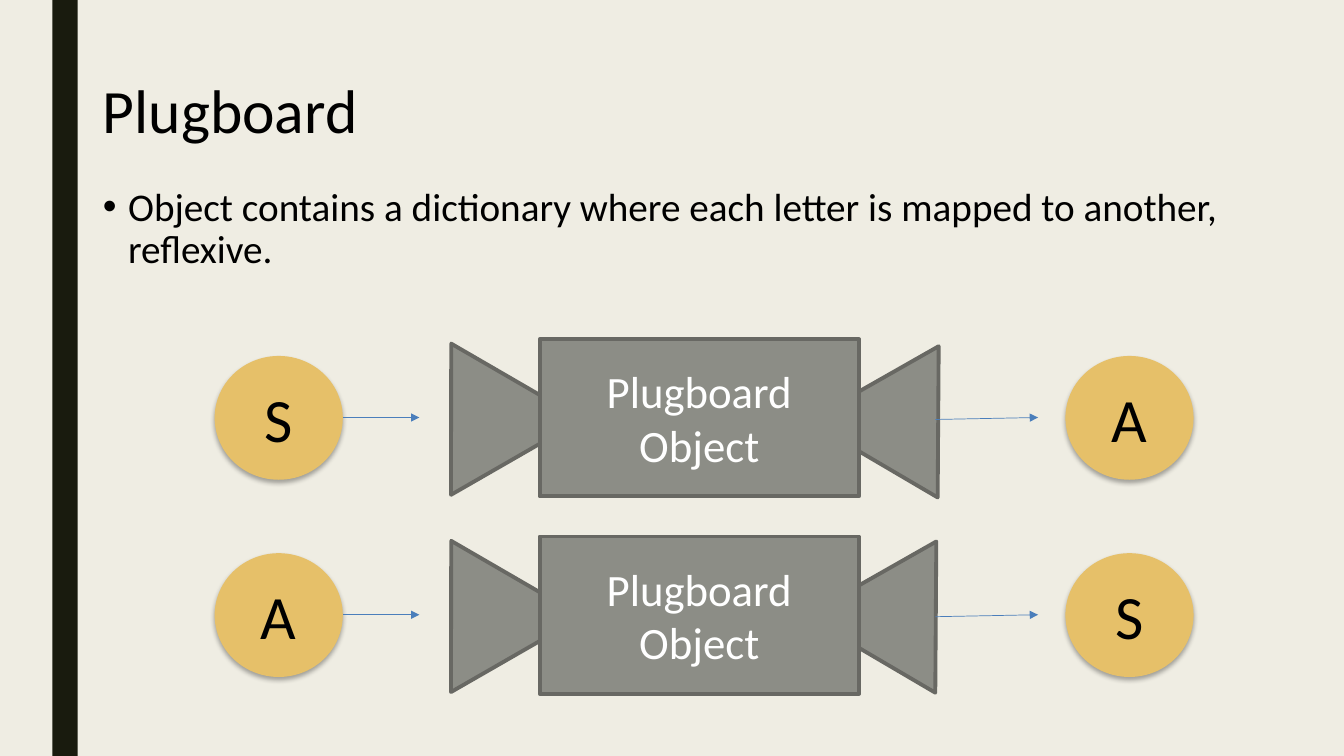
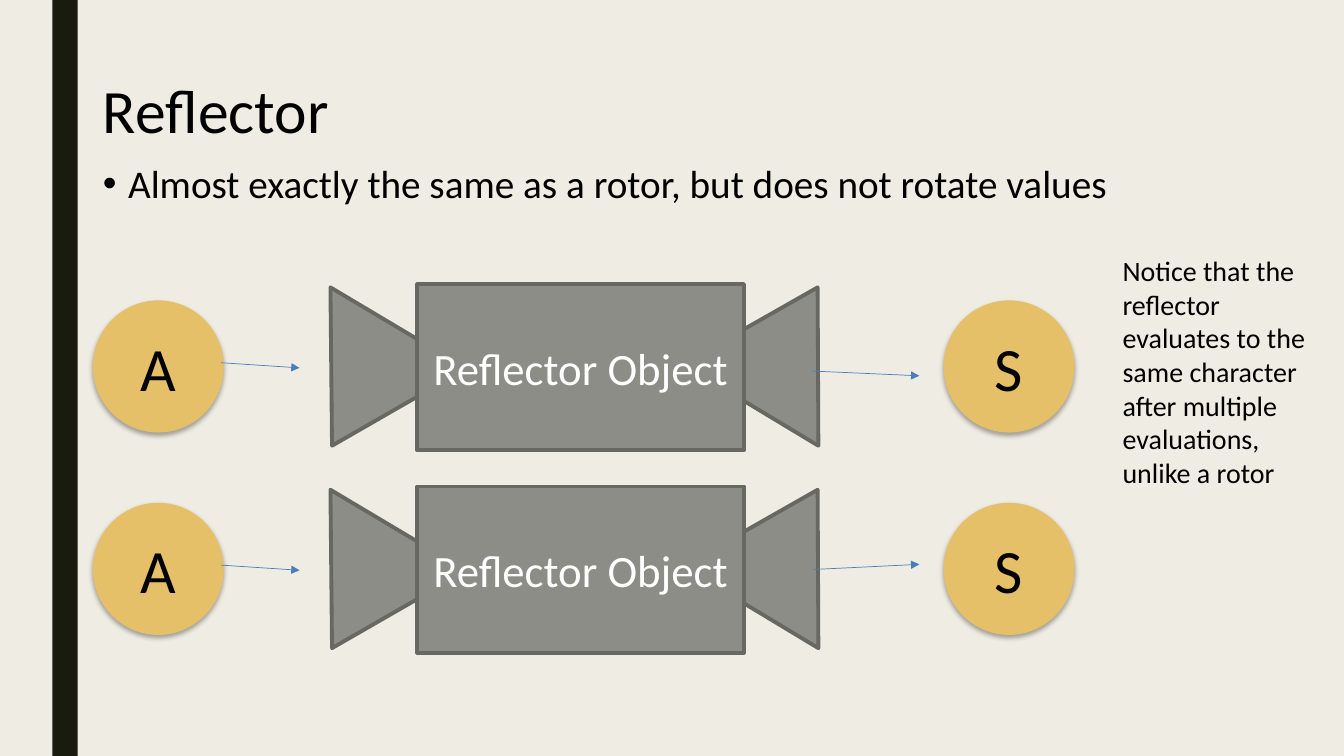
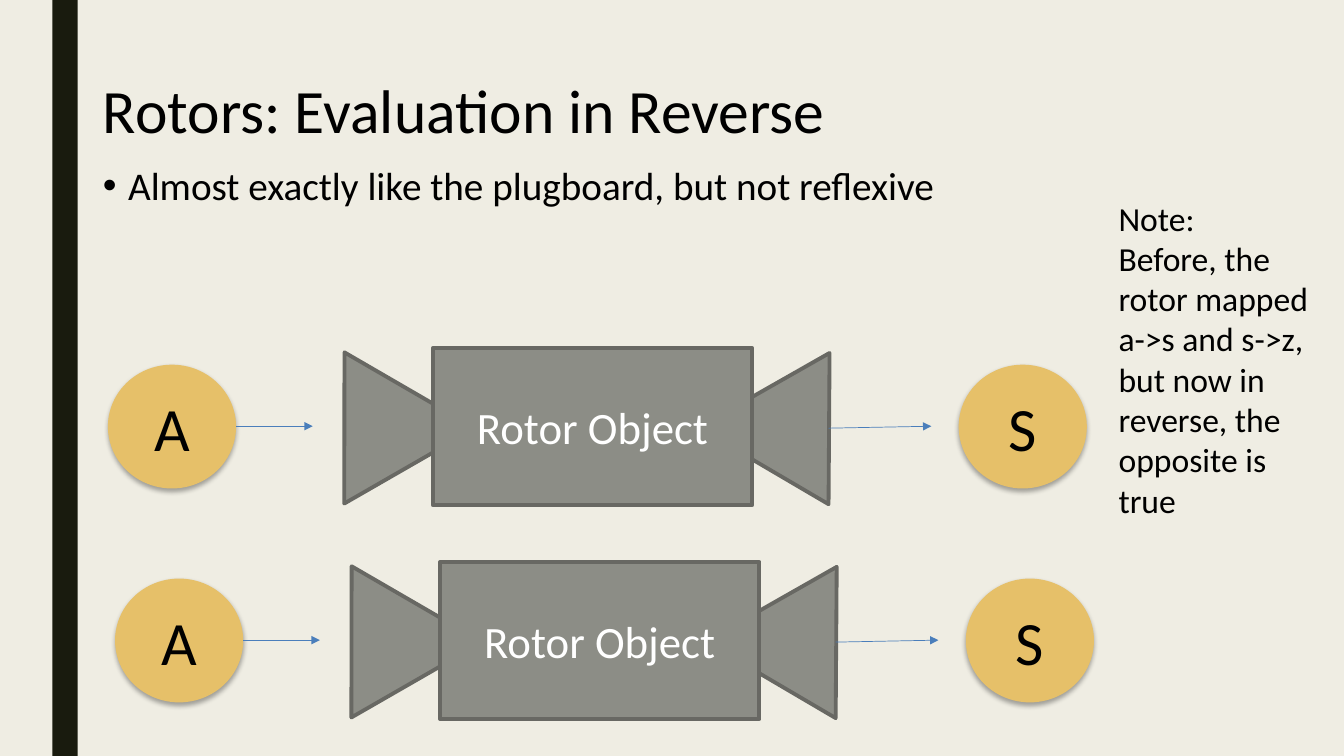
from dataclasses import dataclass

from lxml import etree
from pptx import Presentation
from pptx import util as u
from pptx.dml.color import RGBColor
from pptx.enum import shapes, text
from pptx.oxml.ns import qn

Cm, Pt = u.Cm, u.Pt
FONT = "Calibri"
PAPER, BAND, BLACK, WHITE = "EFEDE3", "191B0E", "000000", "FFFFFF"
GREY, EDGE, GOLD, BLUE = "8C8D86", "686863", "E6C069", "4A7EBB"
SHAPE = shapes.MSO_SHAPE
ANCHOR, ALIGN = text.MSO_ANCHOR, text.PP_ALIGN

Pair = tuple[float, float]


# All lengths are in cm; places in a Size are measured from the input letter.
@dataclass(frozen=True)
class Size:
    letter: Pair
    horn: Pair
    horn_in: Pair
    horn_out: Pair
    box: Pair
    box_at: Pair
    arrow_in: tuple[Pair, Pair]
    arrow_out: tuple[Pair, Pair]
    letter_out: float = 21.44


@dataclass(frozen=True)
class Machine:
    at: Pair
    source: str
    result: str
    arrow_out: tuple[Pair, Pair] | None = None
    horn_out: Pair | None = None


@dataclass(frozen=True)
class Note:
    at: Pair
    size: Pair
    points: int
    lines: tuple[str, ...]


@dataclass(frozen=True)
class Page:
    title: str
    bullet: str
    body_top: float
    body_size: Pair
    label: str
    size: Size
    machines: tuple[Machine, ...]
    note: Note | None = None


REGULAR = Size(letter=(3.23, 3.12), horn=(3.81, 3.3), horn_in=(4.88, -0.53),
               horn_out=(15.44, 0.43), box=(8.05, 3.96), box_at=(8.19, -0.42),
               arrow_in=((3.23, 1.55), (5.16, 1.55)),
               arrow_out=((18.16, 1.6), (20.75, 1.55)))
LARGE = Size(letter=(3.3, 3.33), horn=(3.91, 3.48), horn_in=(4.9, -0.56),
             horn_out=(15.47, 0.41), box=(8.23, 4.19), box_at=(8.18, -0.41),
             arrow_in=((3.23, 1.57), (5.21, 1.7)),
             arrow_out=((18.16, 1.68), (20.83, 1.55)))

PAGES = (
    Page("Plugboard",
         "Object contains a dictionary where each letter is mapped to another, reflexive.",
         4.6, (30.12, 2.92), "Plugboard Object", REGULAR,
         (Machine((5.41, 8.97), "S", "A", horn_out=(15.5, 0.48)),
          Machine((5.41, 13.94), "A", "S"))),
    Page("Reflector",
         "Almost exactly the same as a rotor, but does not rotate values",
         4.01, (29.21, 2.31), "Reflector Object", LARGE,
         (Machine((2.34, 7.57), "A", "S", arrow_out=((18.14, 1.78), (20.83, 1.9))),
          Machine((2.34, 12.67), "A", "S")),
         Note((28.04, 6.27), (5.23, 11.02), 20,
              ("Notice that the reflector evaluates to the same character "
               "after multiple evaluations, unlike a rotor",))),
    Page("Rotors: Evaluation in Reverse",
         "Almost exactly like the plugboard, but not reflexive",
         4.06, (27.46, 3.02), "Rotor Object", REGULAR,
         (Machine((2.72, 9.19), "A", "S"), Machine((2.9, 14.58), "A", "S")),
         Note((27.94, 4.85), (5.59, 12.88), 24,
              ("Note:", "Before, the rotor mapped a->s and s->z, "
               "but now in reverse, the opposite is true"))),
)


def rgb(value: str) -> RGBColor:
    return RGBColor.from_string(value)


def shift(origin: Pair, offset: Pair) -> Pair:
    return origin[0] + offset[0], origin[1] + offset[1]


def place(sp, at: Pair, size: Pair) -> None:
    sp.left, sp.top, sp.width, sp.height = (Cm(v) for v in (*at, *size))


def write(sp, *lines: str, size: int, color: str = BLACK, align=ALIGN.LEFT,
          anchor=ANCHOR.TOP, spacing: float | None = None,
          before: int | None = None) -> None:
    tf = sp.text_frame
    tf.word_wrap = True
    tf.auto_size = text.MSO_AUTO_SIZE.NONE
    tf.vertical_anchor = anchor
    for i, line in enumerate(lines):
        p = tf.add_paragraph() if i else tf.paragraphs[0]
        p.alignment = align
        if spacing is not None:
            p.line_spacing = spacing
        if before is not None:
            p.space_before = Pt(before)
        r = p.add_run()
        r.text = line
        r.font.name, r.font.size = FONT, Pt(size)
        r.font.color.rgb = rgb(color)


def add_shape(s, kind, at: Pair, size: Pair, fill: str,
              line: str | None = None, rotation: float = 0):
    sp = s.shapes.add_shape(kind, *(Cm(v) for v in (*at, *size)))
    sp.shadow.inherit = False
    sp.rotation = rotation
    sp.fill.solid()
    sp.fill.fore_color.rgb = rgb(fill)
    if line:
        sp.line.color.rgb = rgb(line)
        sp.line.width = Pt(2.75)
    else:
        sp.line.fill.background()
    return sp


def add_letter(s, letter: str, at: Pair, size: Pair) -> None:
    sp = add_shape(s, SHAPE.OVAL, at, size, GOLD)
    write(sp, letter, size=44, align=ALIGN.CENTER, anchor=ANCHOR.MIDDLE)
    # Soft shadow straight below
    effects = sp.element.spPr.find(qn("a:effectLst"))
    shadow = etree.SubElement(effects, qn("a:outerShdw"), blurRad=str(Pt(3.5)),
                              dist=str(Pt(2.2)), dir="5400000", rotWithShape="0")
    color = etree.SubElement(shadow, qn("a:srgbClr"), val=BLACK)
    etree.SubElement(color, qn("a:alpha"), val="32000")


def add_arrow(s, start: Pair, end: Pair) -> None:
    c = s.shapes.add_connector(shapes.MSO_CONNECTOR.STRAIGHT,
                               *(Cm(v) for v in (*start, *end)))
    c.line.color.rgb = rgb(BLUE)
    c.line.width = Pt(0.5)
    spPr = c.element.spPr
    etree.SubElement(spPr.find(qn("a:ln")), qn("a:tailEnd"), type="triangle")
    etree.SubElement(spPr, qn("a:effectLst"))


def add_machine(s, m: Machine, size: Size, label: str) -> None:
    # Funnels lie behind the box
    for at, rotation in ((size.horn_in, 330.1), (m.horn_out or size.horn_out, 150.4)):
        add_shape(s, SHAPE.FLOWCHART_EXTRACT, shift(m.at, at), size.horn,
                  GREY, EDGE, rotation)
    box = add_shape(s, SHAPE.RECTANGLE, shift(m.at, size.box_at), size.box, GREY, EDGE)
    write(box, label, size=32, color=WHITE, align=ALIGN.CENTER, anchor=ANCHOR.MIDDLE)
    # Letters in and out
    add_letter(s, m.source, m.at, size.letter)
    add_letter(s, m.result, shift(m.at, (size.letter_out, 0)), size.letter)
    for start, end in (size.arrow_in, m.arrow_out or size.arrow_out):
        add_arrow(s, shift(m.at, start), shift(m.at, end))


def add_page(prs, page: Page):
    s = prs.slides.add_slide(prs.slide_layouts[1])
    # Title and bullet
    title, body = s.placeholders
    place(title, (2.34, 1.02), (29.21, 3.68))
    write(title, page.title, size=44, anchor=ANCHOR.MIDDLE, spacing=0.9)
    place(body, (2.34, page.body_top), page.body_size)
    write(body, page.bullet, size=28, spacing=0.9, before=10)
    pPr = body.text_frame.paragraphs[0]._p.get_or_add_pPr()
    pPr.set("marL", str(Pt(18)))
    pPr.set("indent", str(-Pt(18)))
    # Diagram and side note
    for m in page.machines:
        add_machine(s, m, page.size, page.label)
    if page.note:
        n = page.note
        tb = s.shapes.add_textbox(*(Cm(v) for v in (*n.at, *n.size)))
        write(tb, *n.lines, size=n.points)
    return s


def style_master(prs, s) -> None:
    """Give the master its background and the dark band at the left."""
    master = prs.slide_master
    master.background.fill.solid()
    master.background.fill.fore_color.rgb = rgb(PAPER)
    band = add_shape(s, SHAPE.RECTANGLE, (1.32, 0), (0.64, 19.05), BAND)
    master.shapes.element.insert(2, band.element)


def main() -> None:
    prs = Presentation()
    prs.slide_width, prs.slide_height = Cm(33.87), Cm(19.05)
    pages = [add_page(prs, page) for page in PAGES]
    style_master(prs, pages[0])
    prs.save("out.pptx")


if __name__ == "__main__":
    main()
